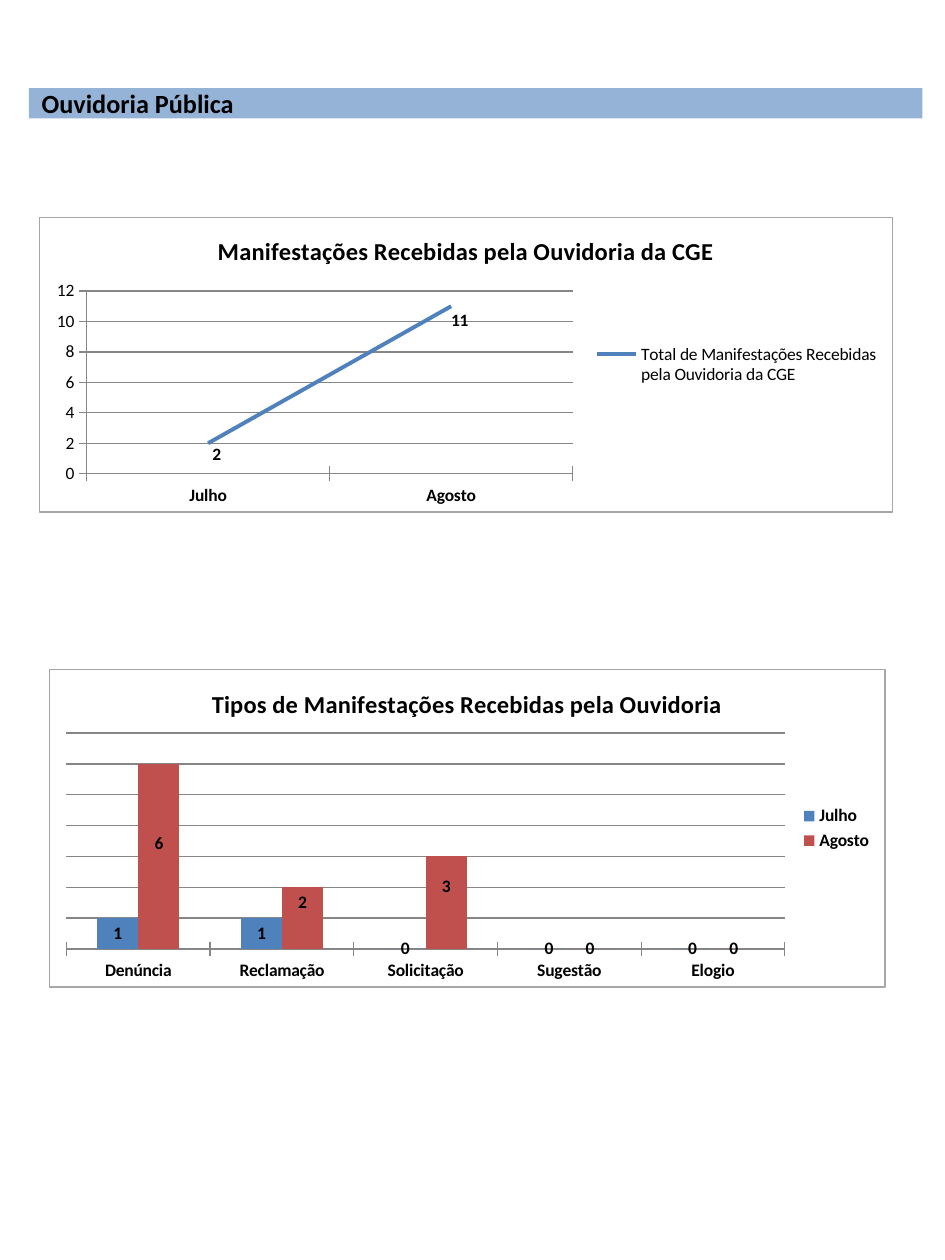
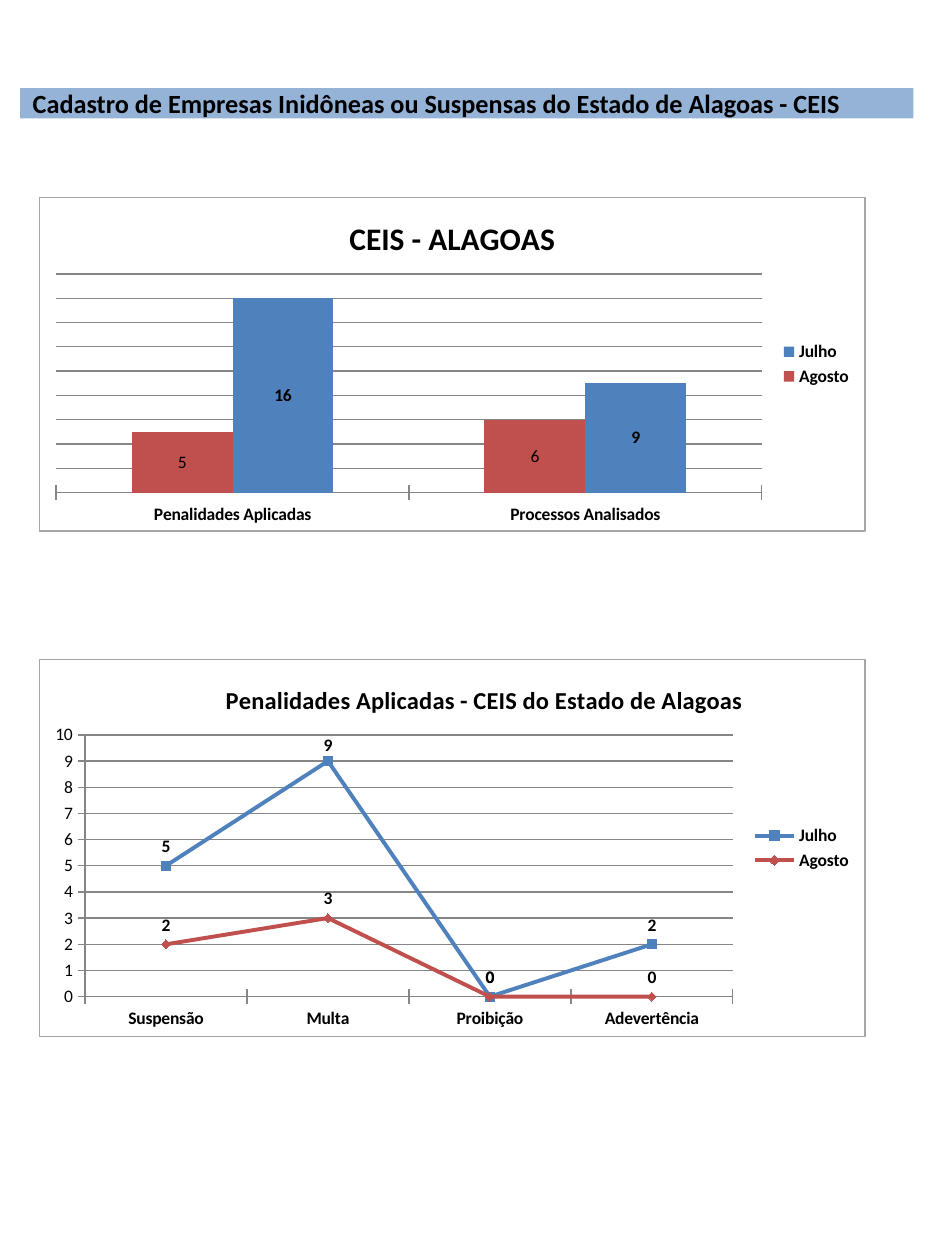
import dataclasses
import typing

import pptx
import pptx.chart.data
import pptx.dml.color
import pptx.enum.chart
import pptx.enum.text
import pptx.oxml
import pptx.oxml.ns
import pptx.util

Inches = pptx.util.Inches
Pt = pptx.util.Pt
RGB = pptx.dml.color.RGBColor
ChartType = pptx.enum.chart.XL_CHART_TYPE
LabelPlace = pptx.enum.chart.XL_LABEL_POSITION
Marker = pptx.enum.chart.XL_MARKER_STYLE
Tick = pptx.enum.chart.XL_TICK_MARK
qn = pptx.oxml.ns.qn

BAND_BLUE = RGB(0x95, 0xB3, 0xD7)
JULY_BLUE = RGB(0x4F, 0x81, 0xBD)
AUGUST_RED = RGB(0xC0, 0x50, 0x4D)
GRID_GREY = RGB(0x86, 0x86, 0x86)
BORDER_GREY = RGB(0xA6, 0xA6, 0xA6)
WHITE = RGB(0xFF, 0xFF, 0xFF)
BLACK = RGB(0, 0, 0)
FONT = "Calibri"
MONTH_COLOURS = (JULY_BLUE, AUGUST_RED)
MONTH_MARKERS = (Marker.SQUARE, Marker.DIAMOND)
TITLE_ONLY = 5


@dataclasses.dataclass
class Panel:
    """Content and scale of one bordered chart."""

    title: str
    kind: typing.Any
    categories: tuple
    series: dict
    plot: tuple
    top: float
    step: float
    title_size: float = 14
    title_at: typing.Optional[tuple] = None
    reverse: bool = False
    legend_bold: bool = True
    label_place: typing.Any = LabelPlace.CENTER
    bold_labels: tuple = (True, True)
    label_shifts: dict = dataclasses.field(default_factory=dict)


def style_font(font, size, bold=False):
    """Apply the shared typeface and colour."""
    font.name = FONT
    font.size = Pt(size)
    font.bold = bold
    font.color.rgb = BLACK


def manual_layout(settings):
    """Return a chart layout element with the given settings."""
    parts = "".join(f'<c:{key} val="{value}"/>' for key, value in settings.items())
    return pptx.oxml.parse_xml(
        f'<c:layout {pptx.oxml.ns.nsdecls("c")}><c:manualLayout>{parts}</c:manualLayout></c:layout>'
    )


def place_plot(chart, plot):
    """Fix the inner plot area as shares of the chart box."""
    area = chart._chartSpace.chart.plotArea
    for old in area.findall(qn("c:layout")):
        area.remove(old)
    x, y, w, h = plot
    area.insert(0, manual_layout({
        "layoutTarget": "inner", "xMode": "edge", "yMode": "edge",
        "x": x, "y": y, "w": w, "h": h,
    }))


def add_border(chart):
    """Give the chart area a white fill and a thin grey outline."""
    chart._chartSpace.chart.addnext(pptx.oxml.parse_xml(
        f'<c:spPr {pptx.oxml.ns.nsdecls("c", "a")}>'
        f'<a:solidFill><a:srgbClr val="{WHITE}"/></a:solidFill>'
        f'<a:ln w="{Pt(0.75)}"><a:solidFill><a:srgbClr val="{BORDER_GREY}"/></a:solidFill></a:ln>'
        '</c:spPr>'
    ))


def style_title(chart, panel):
    """Write the chart title and place it."""
    chart.has_title = True
    title = chart.chart_title
    run = title.text_frame.paragraphs[0].add_run()
    run.text = panel.title
    style_font(run.font, panel.title_size, True)
    title.include_in_layout = False
    if panel.title_at:
        for old in title._element.findall(qn("c:layout")):
            title._element.remove(old)
        x, y = panel.title_at
        title._element.find(qn("c:tx")).addnext(
            manual_layout({"xMode": "edge", "yMode": "edge", "x": x, "y": y})
        )


def style_axes(chart, panel):
    """Format both axes, the gridlines and the value scale."""
    months, values = chart.category_axis, chart.value_axis
    for axis in (months, values):
        axis.major_tick_mark = Tick.CROSS
        axis.minor_tick_mark = Tick.NONE
        axis.format.line.color.rgb = GRID_GREY
        style_font(axis.tick_labels.font, 10, axis is months)
    months.reverse_order = panel.reverse
    months.has_major_gridlines = False
    values.has_major_gridlines = True
    values.major_gridlines.format.line.color.rgb = GRID_GREY
    values.major_gridlines.format.line.width = Pt(0.75)
    values.minimum_scale = 0
    values.maximum_scale = panel.top
    values.major_unit = panel.step
    values.visible = panel.kind != ChartType.COLUMN_CLUSTERED


def style_series(series, index, panel):
    """Colour one series and set its value labels."""
    colour = MONTH_COLOURS[index]
    if panel.kind == ChartType.COLUMN_CLUSTERED:
        series.format.fill.solid()
        series.format.fill.fore_color.rgb = colour
    else:
        series.smooth = False
        series.format.line.color.rgb = colour
        series.format.line.width = Pt(2.25)
        marker = series.marker
        marker.style = Marker.NONE
        if panel.kind == ChartType.LINE_MARKERS:
            marker.style = MONTH_MARKERS[index]
            marker.size = 5
            marker.format.fill.solid()
            marker.format.fill.fore_color.rgb = colour
            marker.format.line.color.rgb = colour
    labels = series.data_labels
    labels.show_value = True
    labels.position = panel.label_place
    style_font(labels.font, 10, panel.bold_labels[index])
    for (owner, point), (x, y) in panel.label_shifts.items():
        if owner == index:
            label = series.points[point].data_label
            style_font(label.font, 10, panel.bold_labels[index])
            label.position = panel.label_place
            element = labels._element.xpath(f'c:dLbl[c:idx/@val="{point}"]')[0]
            element.find(qn("c:idx")).addnext(manual_layout({"x": x, "y": y}))


def add_panel(slide, box, panel):
    """Draw one chart with its title, legend and border in the box."""
    data = pptx.chart.data.CategoryChartData(number_format="General")
    data.categories = panel.categories
    for name, values in panel.series.items():
        data.add_series(name, values)
    chart = slide.shapes.add_chart(panel.kind, *map(Inches, box), data).chart
    style_font(chart.font, 10)
    style_title(chart, panel)
    style_axes(chart, panel)
    chart.has_legend = True
    chart.legend.position = pptx.enum.chart.XL_LEGEND_POSITION.RIGHT
    chart.legend.include_in_layout = False
    style_font(chart.legend.font, 10, panel.legend_bold)
    plot = chart.plots[0]
    plot.vary_by_categories = False
    if panel.kind == ChartType.COLUMN_CLUSTERED:
        plot.gap_width = 150
        plot.overlap = 0
    for index, series in enumerate(plot.series):
        style_series(series, index, panel)
    place_plot(chart, panel.plot)
    add_border(chart)


def add_band(slide, left, heading):
    """Turn the title placeholder into the blue heading band."""
    band = slide.shapes.title
    band.left, band.top, band.width, band.height = map(Inches, (left, 0.7, 7.09, 0.24))
    band.fill.solid()
    band.fill.fore_color.rgb = BAND_BLUE
    frame = band.text_frame
    frame.auto_size = pptx.enum.text.MSO_AUTO_SIZE.NONE
    frame.word_wrap = True
    frame.vertical_anchor = pptx.enum.text.MSO_ANCHOR.MIDDLE
    frame.margin_left = frame.margin_right = Inches(0.1)
    frame.margin_top = frame.margin_bottom = 0
    paragraph = frame.paragraphs[0]
    paragraph.alignment = pptx.enum.text.PP_ALIGN.LEFT
    run = paragraph.add_run()
    run.text = heading
    style_font(run.font, 15, True)


def add_report_slide(deck, band_left, heading, panels):
    """Add a slide with a heading band and its charts."""
    slide = deck.slides.add_slide(deck.slide_layouts[TITLE_ONLY])
    add_band(slide, band_left, heading)
    for box, panel in panels:
        add_panel(slide, box, panel)


def add_ombudsman_slide(deck):
    """Show the reports received and their types."""
    received = Panel(
        "Manifestações Recebidas pela Ouvidoria da CGE",
        ChartType.LINE_STACKED,
        ("Julho", "Agosto"),
        {"Total de Manifestações Recebidas pela Ouvidoria da CGE": (2, 11)},
        plot=(0.055, 0.25, 0.57, 0.62), top=12, step=2, legend_bold=False,
        label_shifts={(0, 0): (0.01, 0.04), (0, 1): (0.01, 0.05)},
    )
    types = Panel(
        "Tipos de Manifestações Recebidas pela Ouvidoria",
        ChartType.COLUMN_CLUSTERED,
        ("Denúncia", "Reclamação", "Solicitação", "Sugestão", "Elogio"),
        {"Julho": (1, 1, 0, 0, 0), "Agosto": (6, 2, 3, 0, 0)},
        plot=(0.02, 0.2, 0.86, 0.68), top=7, step=1,
        label_shifts={(1, 0): (0, -0.04), (1, 1): (0, -0.05), (1, 2): (0, -0.05)},
    )
    add_report_slide(deck, 0.23, "Ouvidoria Pública", (
        ((0.31, 1.72, 6.78, 2.35), received),
        ((0.39, 5.31, 6.64, 2.53), types),
    ))


def add_registry_slide(deck):
    """Show the registry totals and the penalties applied."""
    totals = Panel(
        "CEIS - ALAGOAS",
        ChartType.COLUMN_CLUSTERED,
        ("Processos Analisados", "Penalidades Aplicadas"),
        {"Julho": (9, 16), "Agosto": (6, 5)},
        plot=(0.02, 0.23, 0.855, 0.655), top=18, step=2, title_size=18,
        reverse=True, bold_labels=(True, False),
    )
    penalties = Panel(
        "Penalidades Aplicadas - CEIS do Estado de Alagoas",
        ChartType.LINE_MARKERS,
        ("Suspensão", "Multa", "Proibição", "Adevertência"),
        {"Julho": (5, 9, 0, 2), "Agosto": (2, 3, 0, 0)},
        plot=(0.055, 0.2, 0.785, 0.695), top=10, step=1, title_at=(0.22, 0.05),
        label_place=LabelPlace.ABOVE, label_shifts={(0, 1): (0, 0.01)},
    )
    heading = "Cadastro de Empresas Inidôneas ou Suspensas do Estado de Alagoas - CEIS"
    add_report_slide(deck, 0.16, heading, (
        ((0.31, 1.56, 6.56, 2.66), totals),
        ((0.31, 5.23, 6.56, 3), penalties),
    ))


def main():
    """Build and save the report."""
    deck = pptx.Presentation()
    deck.slide_width, deck.slide_height = Inches(7.5), Inches(10)
    add_ombudsman_slide(deck)
    add_registry_slide(deck)
    deck.save("out.pptx")


if __name__ == "__main__":
    main()
